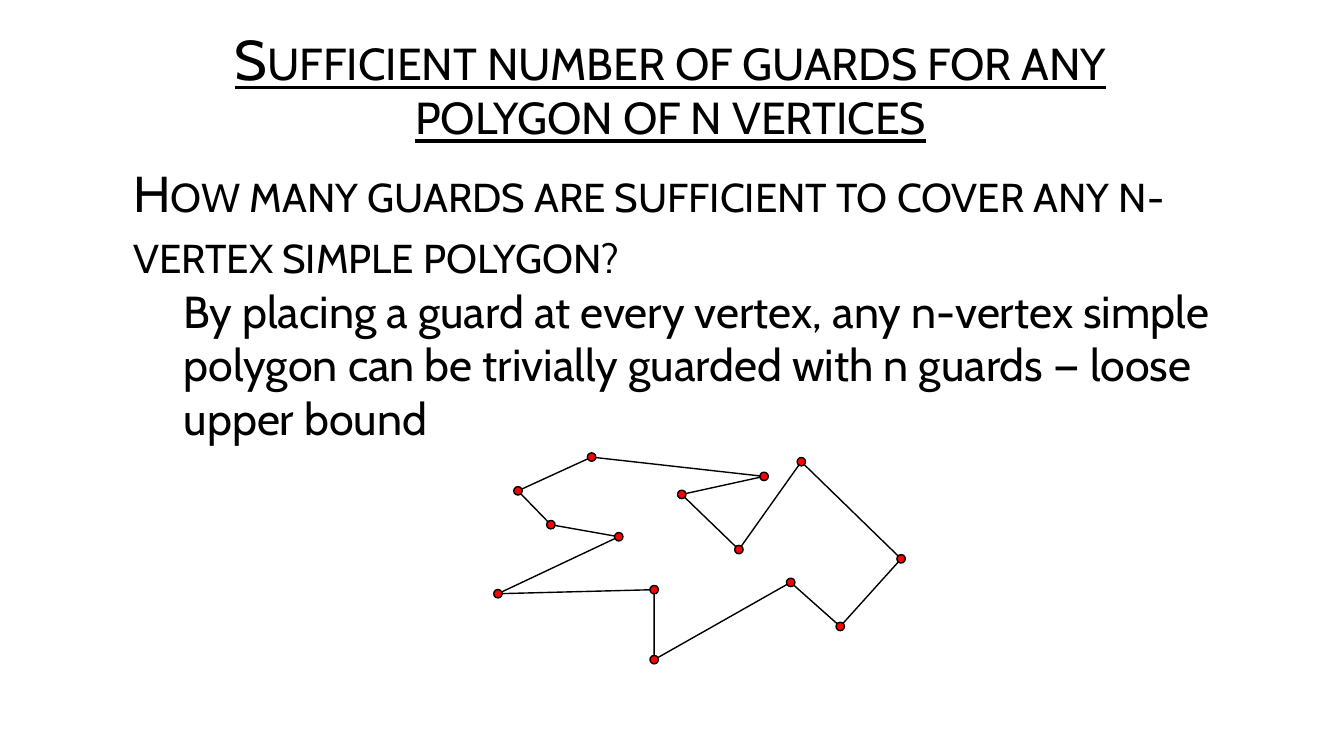
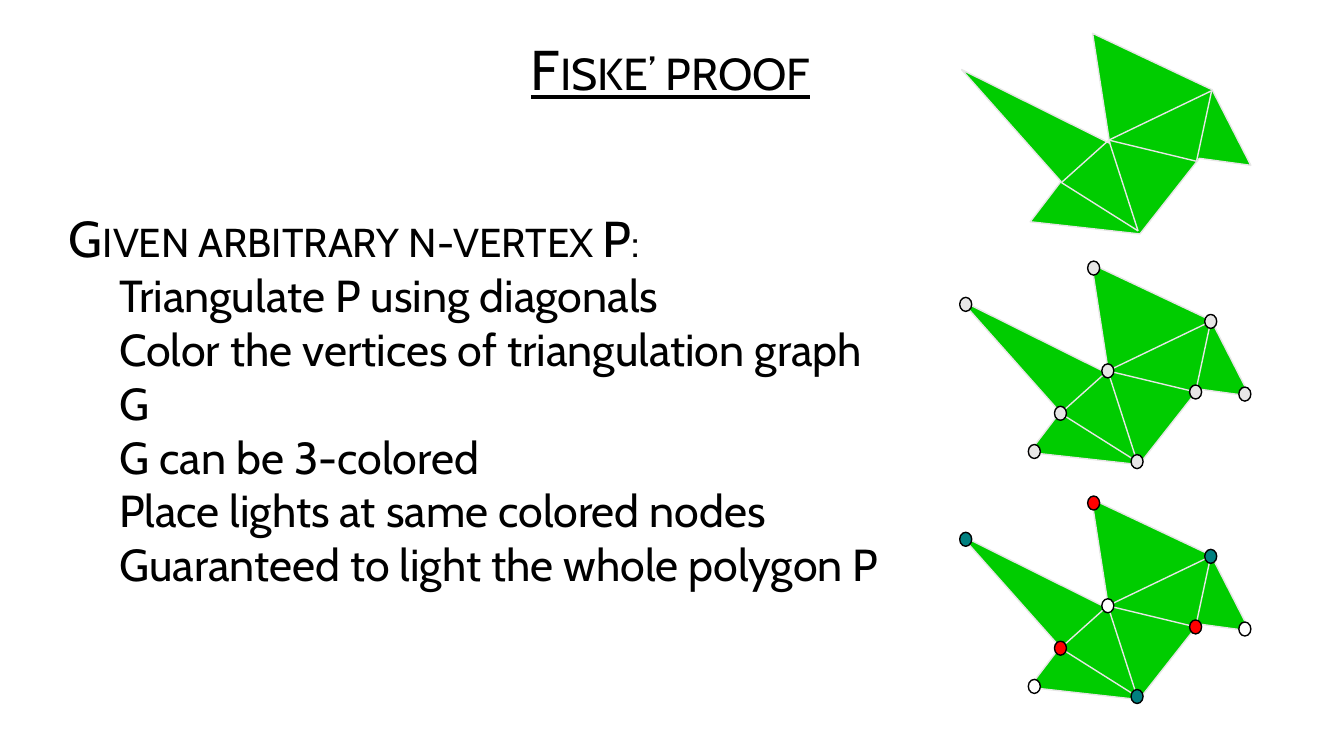
from dataclasses import dataclass

from lxml import etree
from pptx import Presentation
from pptx import util as u
from pptx.dml.color import RGBColor
from pptx.enum import shapes, text
from pptx.oxml.ns import qn


@dataclass(frozen=True)
class Theme:
    font: str = "Cabin"
    title_size: int = 40
    level_sizes: tuple = (36, 32)
    level_indents: tuple = (36, 72)
    level_gaps: tuple = (5, 0)
    black: str = "000000"
    white: str = "FFFFFF"
    red: str = "FF0000"
    teal: str = "008080"
    green: str = "00CC00"
    gray: str = "E7E6E6"


theme = Theme()


def draw_outline(parent, corners, line, fill=None):
    first, *rest = [(u.Pt(x), u.Pt(y)) for x, y in corners]
    builder = parent.build_freeform(*first)
    builder.add_line_segments(rest, close=True)
    polygon = builder.convert_to_shape()
    polygon.shadow.inherit = False
    polygon.line.color.rgb = RGBColor.from_string(line)
    polygon.line.width = u.Pt(1)
    if fill:
        polygon.fill.solid()
        polygon.fill.fore_color.rgb = RGBColor.from_string(fill)
    else:
        polygon.fill.background()


def draw_dot(parent, center, width, height, fill):
    x, y = center
    dot = parent.add_shape(shapes.MSO_SHAPE.OVAL, u.Pt(x - width / 2), u.Pt(y - height / 2),
                           u.Pt(width), u.Pt(height))
    dot.shadow.inherit = False
    dot.fill.solid()
    dot.fill.fore_color.rgb = RGBColor.from_string(fill)
    dot.line.color.rgb = RGBColor.from_string(theme.black)
    dot.line.width = u.Pt(1)


prs = Presentation()
prs.slide_width, prs.slide_height = u.Pt(960), u.Pt(540)

# Wording and placement of each slide; boxes are left, top, width, height
pages = [
    dict(title="Sufficient number of guards for any polygon of n vertices",
         title_box=(125, 21, 708, 88), title_spacing=0.8,
         body_box=(52, 95, 856, 380), anchor=text.MSO_ANCHOR.TOP, top_inset=21,
         lines=[(0, "How many guards are sufficient to cover any n-vertex simple polygon?"),
                (1, "By placing a guard at every vertex, any n-vertex simple polygon "
                    "can be trivially guarded with n guards — loose upper bound")]),
    dict(title="Fiske’ proof",
         title_box=(125, 21, 708, 61), title_spacing=0.9,
         body_box=(6, 95, 644, 380), anchor=text.MSO_ANCHOR.MIDDLE, top_inset=3.6,
         lines=[(0, "Given arbitrary n-vertex P:"),
                (1, "Triangulate P using diagonals"),
                (1, "Color the vertices of triangulation graph G"),
                (1, "G can be 3-colored"),
                (1, "Place lights at same colored nodes"),
                (1, "Guaranteed to light the whole polygon P")]),
]

# Titles and lists
for page in pages:
    slide = prs.slides.add_slide(prs.slide_layouts[1])
    title, body = slide.shapes.title, slide.placeholders[1]
    for holder, box in ((title, page["title_box"]), (body, page["body_box"])):
        holder.left, holder.top, holder.width, holder.height = map(u.Pt, box)
        holder.text_frame.word_wrap = True
        holder.text_frame.auto_size = text.MSO_AUTO_SIZE.NONE

    title.text_frame.text = page["title"]
    title.text_frame.vertical_anchor = text.MSO_ANCHOR.MIDDLE
    heading = title.text_frame.paragraphs[0]
    heading.alignment = text.PP_ALIGN.CENTER
    heading.line_spacing = page["title_spacing"]
    heading.space_before = u.Pt(10)
    heading.runs[0].font.underline = True
    styled = [(heading.runs[0], theme.title_size, True)]

    body.text_frame.text = "\n".join(wording for _, wording in page["lines"])
    body.text_frame.vertical_anchor = page["anchor"]
    body.text_frame.margin_top = u.Pt(page["top_inset"])
    for (level, _), item in zip(page["lines"], body.text_frame.paragraphs):
        item.level = level
        item.space_before = u.Pt(theme.level_gaps[level])
        props = item._p.get_or_add_pPr()
        props.set("marL", str(u.Pt(theme.level_indents[level])))
        props.set("indent", "0")
        etree.SubElement(props, qn("a:buNone"))
        styled.append((item.runs[0], theme.level_sizes[level], level == 0))

    for run, size, small_caps in styled:
        run.font.name = theme.font
        run.font.size = u.Pt(size)
        run.font.color.rgb = RGBColor.from_string(theme.black)
        if small_caps:
            run._r.get_or_add_rPr().set("cap", "small")

guards_slide, proof_slide = prs.slides

# Polygon with a guard at every vertex
vertices = [(545.8, 340.3), (422.6, 326.5), (370, 350.6), (393.5, 374.8), (442, 383.4),
            (355.7, 424.1), (467.3, 421.2), (467.3, 471.2), (564.8, 416), (600.2, 447.5),
            (643.7, 399.2), (572.4, 329.8), (527.8, 392.6), (487, 353.2)]
draw_outline(guards_slide.shapes, vertices, theme.black)
for vertex in vertices:
    draw_dot(guards_slide.shapes, vertex, 6, 6, theme.red)

# Triangulated polygon: outline, graph nodes with their final colors, diagonals
outline = [(0, 25.9), (105.8, 78.5), (93.6, 0), (179, 40.3), (206.6, 94.3),
           (169.9, 89.3), (127.4, 143.3), (49, 134.6), (71, 105.8)]
nodes = {
    "top": (95, 2.9, theme.red),
    "shoulder": (178.6, 41, theme.teal),
    "right": (203, 92.9, theme.white),
    "notch": (167.8, 91.4, theme.red),
    "hub": (105.1, 76.3, theme.white),
    "left": (3.6, 28.8, theme.teal),
    "waist": (71.3, 106.6, theme.red),
    "foot": (52.6, 133.9, theme.white),
    "bottom": (126, 141.1, theme.teal),
}
diagonals = [("hub", "shoulder"), ("shoulder", "notch"), ("hub", "notch"),
             ("waist", "hub"), ("bottom", "hub"), ("bottom", "waist")]

# Three stages: triangulated, nodes marked, nodes colored
stages = [(686.9, 23.8, "plain"), (686.2, 188.6, "marked"), (686.2, 356.4, "colored")]
for left, top, stage in stages:
    parts = proof_slide.shapes.add_group_shape().shapes
    draw_outline(parts, [(left + x, top + y) for x, y in outline], theme.gray, theme.green)
    for start, end in diagonals:
        (x1, y1, _), (x2, y2, _) = nodes[start], nodes[end]
        diagonal = parts.add_connector(shapes.MSO_CONNECTOR.STRAIGHT,
                                       u.Pt(left + x1), u.Pt(top + y1),
                                       u.Pt(left + x2), u.Pt(top + y2))
        diagonal.line.color.rgb = RGBColor.from_string(theme.gray)
        diagonal.line.width = u.Pt(1)
        etree.SubElement(diagonal._element.spPr, qn("a:effectLst"))
    if stage != "plain":
        for x, y, color in nodes.values():
            fill = color if stage == "colored" else theme.gray
            draw_dot(parts, (left + x, top + y), 8.6, 10, fill)

prs.save("out.pptx")
